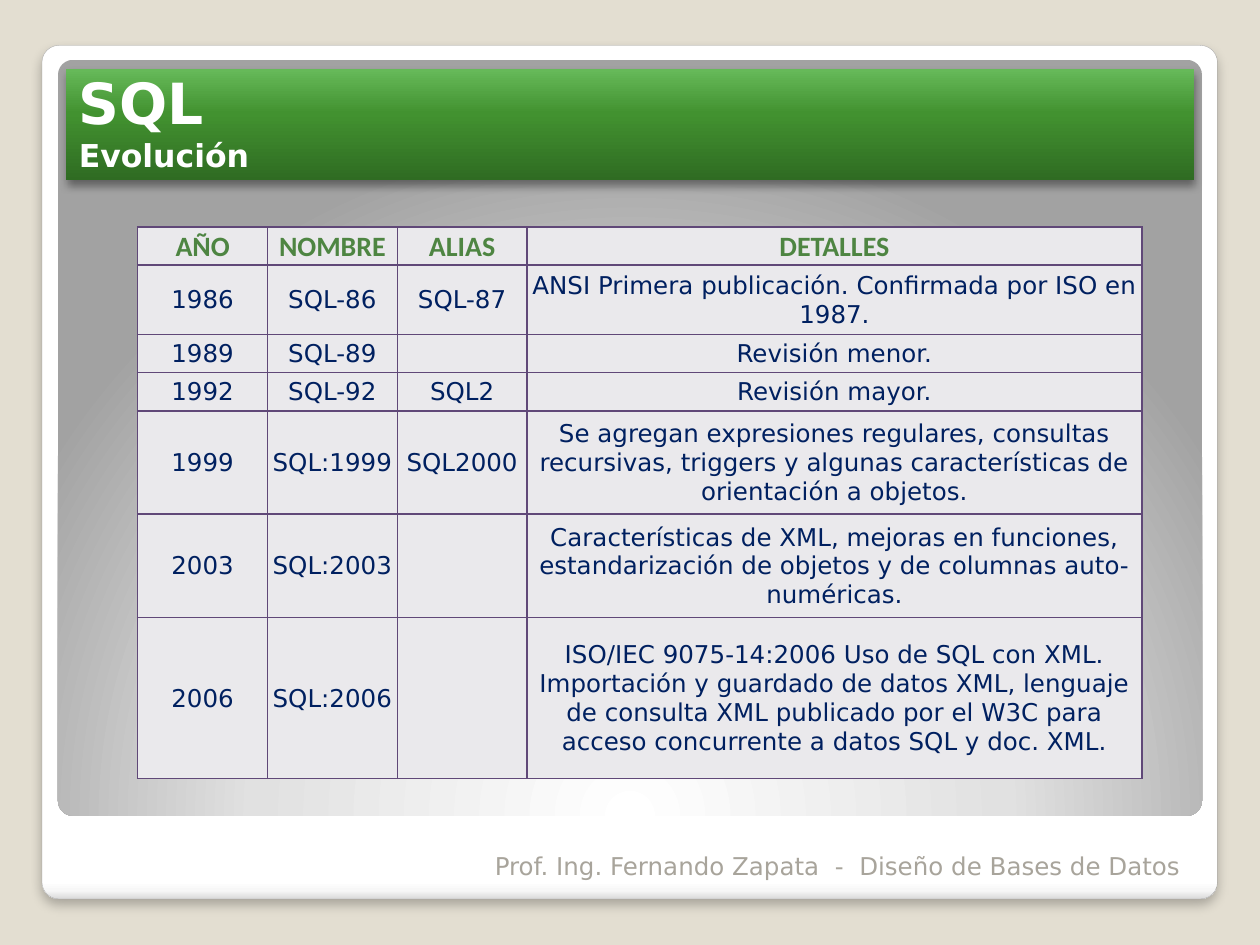
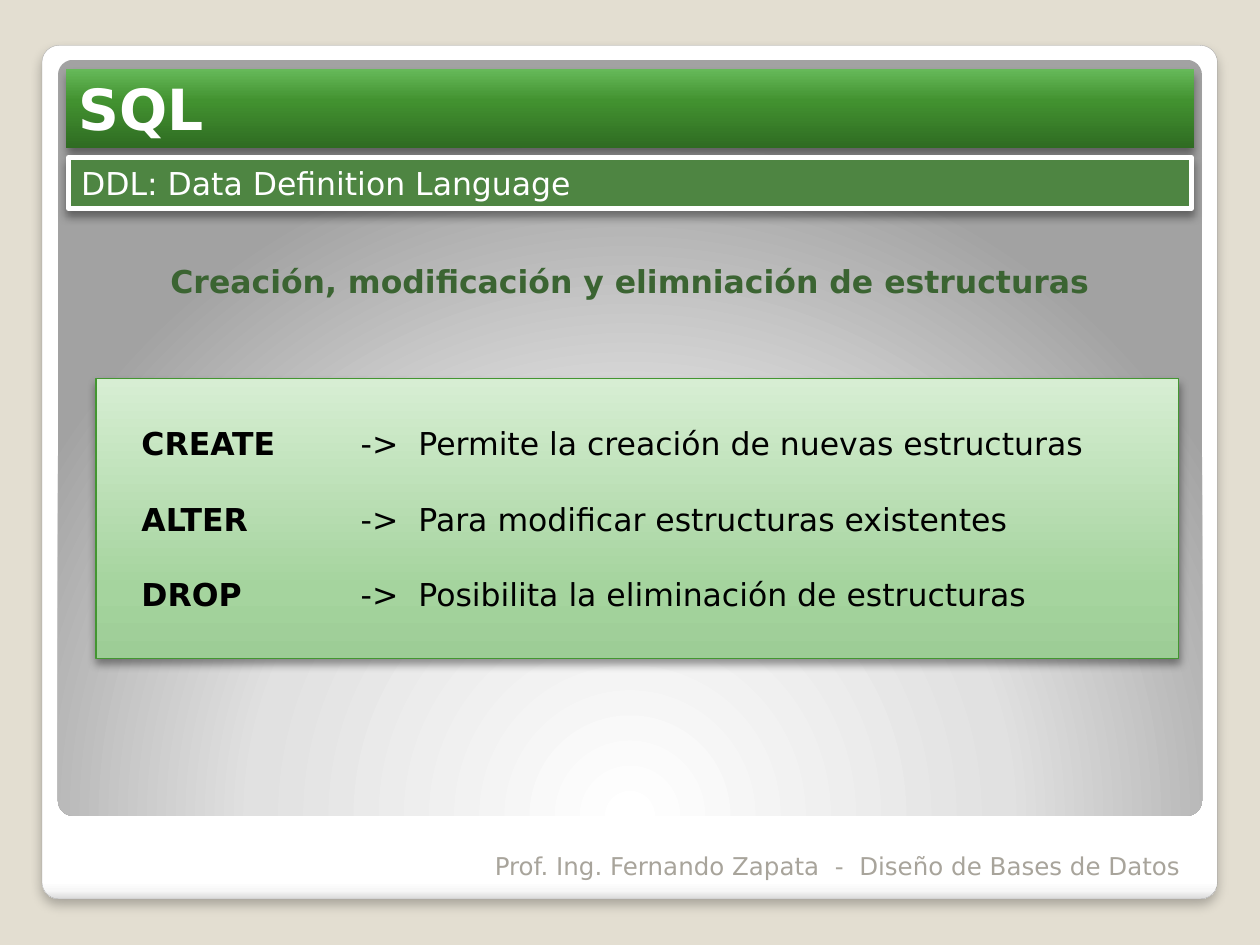
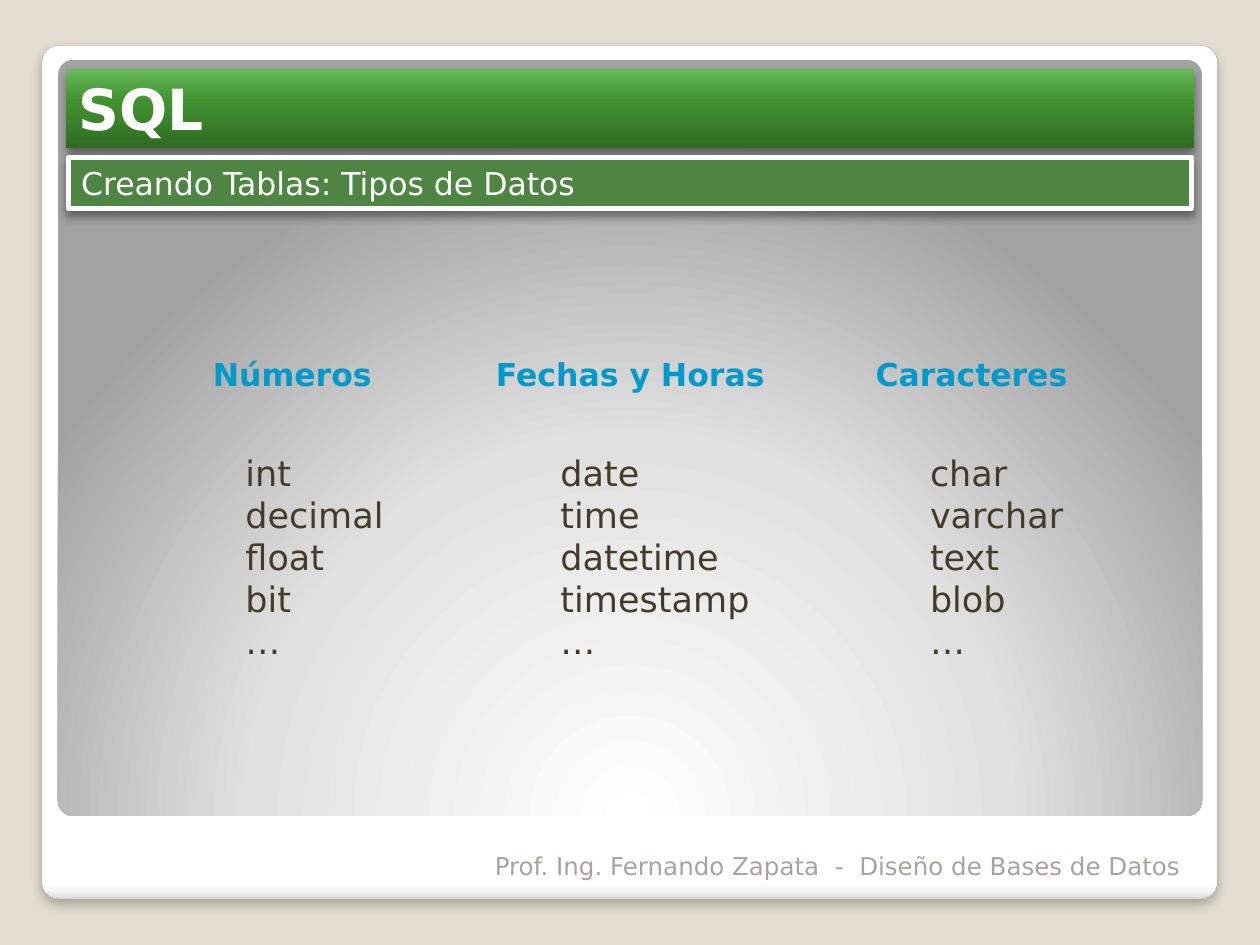
"""Build three SQL lesson slides on a grid of 100 columns by 75 rows."""
from dataclasses import dataclass

from lxml import etree
from pptx import Presentation
from pptx import util as u
from pptx.dml.color import RGBColor
from pptx.enum import shapes, text
from pptx.oxml.ns import qn

WIDTH, HEIGHT = u.Inches(10), u.Inches(7.5)
COLUMN, ROW = WIDTH // 100, HEIGHT // 75

SAND = RGBColor(0xE3, 0xDE, 0xD1)
WHITE = RGBColor(0xFF, 0xFF, 0xFF)
BLACK = RGBColor(0x00, 0x00, 0x00)
PALE_GREY = RGBColor(0xF7, 0xF7, 0xF7)
EDGE_GREY = RGBColor(0xDA, 0xDA, 0xDA)
LIGHT_GREY = RGBColor(0xE1, 0xE1, 0xE1)
MID_GREY = RGBColor(0xA2, 0xA2, 0xA2)
OUTLINE_GREY = RGBColor(0xA4, 0xA4, 0xA4)
FOOTER_GREY = RGBColor(0xA8, 0xA4, 0x9B)
GREEN = RGBColor(0x4E, 0x85, 0x42)
DARK_GREEN = RGBColor(0x3B, 0x64, 0x32)
PANEL_GREEN = RGBColor(0x43, 0x96, 0x31)
NAVY = RGBColor(0x00, 0x20, 0x60)
BLUE = RGBColor(0x00, 0x99, 0xCC)
BROWN = RGBColor(0x44, 0x3C, 0x29)
PURPLE = RGBColor(0x60, 0x48, 0x78)
CELL_FILL = RGBColor(0xEA, 0xE9, 0xEC)

LEFT, CENTER, RIGHT = text.PP_ALIGN.LEFT, text.PP_ALIGN.CENTER, text.PP_ALIGN.RIGHT
TOP, MIDDLE, BOTTOM = text.MSO_ANCHOR.TOP, text.MSO_ANCHOR.MIDDLE, text.MSO_ANCHOR.BOTTOM


@dataclass(frozen=True)
class Box:
    """Place on the grid, in columns and rows."""
    left: float
    top: float
    width: float
    height: float

    def lengths(self) -> tuple:
        return (round(self.left * COLUMN), round(self.top * ROW),
                round(self.width * COLUMN), round(self.height * ROW))


@dataclass(frozen=True)
class Style:
    """Look of a run of text."""
    size: float
    color: RGBColor
    bold: bool = False
    font: str = "DejaVu Sans"


@dataclass(frozen=True)
class Gradient:
    """Colour stops with an angle, or a circle around a focus."""
    stops: tuple
    angle: int = 270
    focus: tuple = ()


@dataclass(frozen=True)
class Shadow:
    """Outer shadow straight below a shape."""
    alpha: int
    blur: float
    distance: float


@dataclass(frozen=True)
class TypeColumn:
    """Heading and list of one family of data types."""
    heading: str
    heading_box: Box
    list_box: Box
    names: tuple


TITLE = Style(32.4, WHITE, True)
SUBTITLE = Style(18, WHITE, True)
BAND = Style(18, WHITE)
FOOTER = Style(14, FOOTER_GREY)
SUMMARY = Style(18, DARK_GREEN, True)
COMMAND = Style(18, BLACK, True)
PURPOSE = Style(18, BLACK)
TYPE_HEADING = Style(18, BLUE, True)
TYPE_NAME = Style(20, BROWN)
TABLE_HEAD = Style(16, GREEN, True, "Calibri")
TABLE_BODY = Style(14, NAVY)

CARD_FILL = Gradient(((0, WHITE), (98, WHITE), (99, PALE_GREY), (100, EDGE_GREY)), 90)
STAGE_FILL = Gradient(((0, WHITE), (55, LIGHT_GREY), (100, MID_GREY)), focus=(50, 175, 50, -75))
TITLE_FILL = Gradient(((0, RGBColor(0x2F, 0x6B, 0x22)), (60, RGBColor(0x42, 0x92, 0x30)),
                       (100, RGBColor(0x66, 0xB9, 0x59))))
PANEL_FILL = Gradient(((0, RGBColor(0x9D, 0xCD, 0x96)), (25, RGBColor(0xA5, 0xD4, 0x9E)),
                       (100, RGBColor(0xD7, 0xEE, 0xD3))))
CARD_SHADOW = Shadow(25, 6, 4)
SHADOW = Shadow(40, 5.2, 3)

FOOTER_TEXT = "Prof. Ing. Fernando Zapata  -  Diseño de Bases de Datos"
TABLE_BOX = Box(10.93, 18, 79.7, 43.8)
TABLE_COLUMNS = (10.3, 10.3, 10.3, 48.8)
TABLE_ROWS = (3.03, 5.53, 3.03, 3.03, 8.2, 8.2, 12.78)
VERSIONS = (
    ("AÑO", "NOMBRE", "ALIAS", "DETALLES"),
    ("1986", "SQL-86", "SQL-87", "ANSI Primera publicación. Confirmada por ISO en 1987."),
    ("1989", "SQL-89", "", "Revisión menor."),
    ("1992", "SQL-92", "SQL2", "Revisión mayor."),
    ("1999", "SQL:1999", "SQL2000", "Se agregan expresiones regulares, consultas recursivas, "
     "triggers y algunas características de orientación a objetos."),
    ("2003", "SQL:2003", "", "Características de XML, mejoras en funciones, "
     "estandarización de objetos y de columnas auto-numéricas."),
    ("2006", "SQL:2006", "", "ISO/IEC 9075-14:2006 Uso de SQL con XML. Importación y guardado "
     "de datos XML, lenguaje de consulta XML publicado por el W3C para acceso concurrente "
     "a datos SQL y doc. XML."),
)
COMMANDS = (
    ("CREATE", "Permite la creación de nuevas estructuras"),
    ("ALTER", "Para modificar estructuras existentes"),
    ("DROP", "Posibilita la eliminación de estructuras"),
)
TYPE_COLUMNS = (
    TypeColumn("Números", Box(15.8, 27.7, 14.8, 4), Box(18.5, 35.33, 25, 17.8),
               ("int", "decimal", "float", "bit", "…")),
    TypeColumn("Fechas y Horas", Box(38.27, 27.7, 23.5, 4), Box(43.5, 35.33, 25, 17.8),
               ("date", "time", "datetime", "timestamp", "…")),
    TypeColumn("Caracteres", Box(68.5, 27.7, 17.2, 4), Box(72.83, 35.35, 25, 17.8),
               ("char", "varchar", "text", "blob", "…")),
)


def add_node(parent, tag: str, **attributes):
    """Append a drawing element with its attributes."""
    return etree.SubElement(parent, qn(tag), {key: str(value) for key, value in attributes.items()})


def set_gradient(shape, gradient: Gradient) -> None:
    """Fill a shape with a gradient."""
    shape.fill.gradient()
    fill = shape.element.spPr.find(qn("a:gradFill"))
    for child in list(fill):
        fill.remove(child)
    stops = add_node(fill, "a:gsLst")
    for position, color in gradient.stops:
        add_node(add_node(stops, "a:gs", pos=position * 1000), "a:srgbClr", val=color)
    if gradient.focus:
        circle = add_node(fill, "a:path", path="circle")
        sides = {side: share * 1000 for side, share in zip("ltrb", gradient.focus)}
        add_node(circle, "a:fillToRect", **sides)
    else:
        add_node(fill, "a:lin", ang=gradient.angle * 60000, scaled=0)


def set_shadow(shape, shadow: Shadow | None) -> None:
    """Give a shape its own shadow, or none."""
    shape.shadow.inherit = False
    if shadow:
        effects = shape.element.spPr.find(qn("a:effectLst"))
        outer = add_node(effects, "a:outerShdw", blurRad=u.Pt(shadow.blur),
                         dist=u.Pt(shadow.distance), dir=90 * 60000, rotWithShape=0)
        add_node(add_node(outer, "a:srgbClr", val=BLACK), "a:alpha", val=shadow.alpha * 1000)


def decorate(shape, fill, line: RGBColor | None = None, weight: float = 0,
             shadow: Shadow | None = None) -> None:
    """Set fill, outline and shadow."""
    if isinstance(fill, Gradient):
        set_gradient(shape, fill)
    else:
        shape.fill.solid()
        shape.fill.fore_color.rgb = fill
    if line is None:
        shape.line.fill.background()
    else:
        shape.line.color.rgb = line
        shape.line.width = u.Pt(weight)
    set_shadow(shape, shadow)


def place(shape, box: Box) -> None:
    """Move a placeholder to a place on the grid."""
    shape.left, shape.top, shape.width, shape.height = box.lengths()


def add_run(para, words: str, style: Style) -> None:
    """Append one formatted run."""
    span = para.add_run()
    span.text = words
    span.font.name, span.font.size = style.font, u.Pt(style.size)
    span.font.bold, span.font.color.rgb = style.bold, style.color


def write(frame, lines: list, align=LEFT, anchor=TOP, wrap: bool = True) -> list:
    """Write paragraphs, each a list of (words, style) runs."""
    frame.word_wrap, frame.vertical_anchor = wrap, anchor
    frame.auto_size = text.MSO_AUTO_SIZE.NONE
    for index, runs in enumerate(lines):
        para = frame.add_paragraph() if index else frame.paragraphs[0]
        para.alignment = align
        for words, style in runs:
            add_run(para, words, style)
    return list(frame.paragraphs)


def add_label(slide, box: Box, lines: list, **layout) -> None:
    """Add a text box."""
    write(slide.shapes.add_textbox(*box.lengths()).text_frame, lines, **layout)


def add_frame(deck, slide) -> None:
    """Draw the card and the stage, then move them to the master."""
    tree = deck.slide_master.shapes.element
    parts = ((Box(3.33, 3.6, 93.3, 67.75), CARD_FILL, OUTLINE_GREY, CARD_SHADOW),
             (Box(4.6, 4.75, 90.8, 60), STAGE_FILL, None, None))
    for order, (box, fill, line, shadow) in enumerate(parts):
        panel = slide.shapes.add_shape(shapes.MSO_SHAPE.ROUNDED_RECTANGLE, *box.lengths())
        panel.adjustments[0] = 0.02
        decorate(panel, fill, line, 0.16, shadow)
        tree.insert(2 + order, panel.element)


def add_slide(deck, layout: int, subtitle: str = "", band: str = ""):
    """Add a slide with title, footer and an optional band."""
    slide = deck.slides.add_slide(deck.slide_layouts[layout])
    title = slide.shapes.title
    place(title, Box(5.25, 5.5, 89.5, 8.8 if subtitle else 6.25))
    decorate(title, TITLE_FILL, shadow=SHADOW)
    lines = [[("SQL", TITLE)]] + ([[(subtitle, SUBTITLE)]] if subtitle else [])
    write(title.text_frame, lines, anchor=BOTTOM)
    add_label(slide, Box(37.5, 66.4, 57.2, 4), [[(FOOTER_TEXT, FOOTER)]],
              align=RIGHT, anchor=BOTTOM)
    if band:
        bar = slide.shapes.add_shape(shapes.MSO_SHAPE.RECTANGLE,
                                     *Box(5.45, 12.5, 89.1, 4.05).lengths())
        decorate(bar, GREEN, WHITE, 3, SHADOW)
        write(bar.text_frame, [[(band, BAND)]], anchor=MIDDLE)
    return slide


def format_cell(cell, words: str, style: Style) -> None:
    """Write one table cell with its borders and fill."""
    cell.margin_left = cell.margin_right = cell.margin_top = u.Inches(0.01)
    cell.margin_bottom = 0
    cell.vertical_anchor = MIDDLE
    para = cell.text_frame.paragraphs[0]
    para.alignment = CENTER
    if words:
        add_run(para, words, style)
    else:
        add_node(para._p, "a:endParaRPr", sz=style.size * 100)
    properties = cell._tc.get_or_add_tcPr()
    for side in ("L", "R", "T", "B"):
        border = add_node(properties, f"a:ln{side}", w=u.Pt(1))
        add_node(add_node(border, "a:solidFill"), "a:srgbClr", val=PURPLE)
    cell.fill.solid()
    cell.fill.fore_color.rgb = CELL_FILL


def add_versions(slide) -> None:
    """Add the table of SQL versions."""
    table = slide.shapes.add_table(len(TABLE_ROWS), len(TABLE_COLUMNS), *TABLE_BOX.lengths()).table
    for column, width in zip(table.columns, TABLE_COLUMNS):
        column.width = round(width * COLUMN)
    for index, (row, height) in enumerate(zip(table.rows, TABLE_ROWS)):
        row.height = round(height * ROW)
        for cell, words in zip(row.cells, VERSIONS[index]):
            format_cell(cell, words, TABLE_BODY if index else TABLE_HEAD)


def add_commands(slide) -> None:
    """Fill the body placeholder with the DDL commands."""
    panel = slide.placeholders[1]
    place(panel, Box(7.63, 30.05, 85.9, 22.2))
    decorate(panel, PANEL_FILL, PANEL_GREEN, 0.75, SHADOW)
    panel.text_frame.margin_left = u.Inches(0.36)
    lines = [[(name, COMMAND), (f"\t->  {purpose}", PURPOSE)] for name, purpose in COMMANDS]
    for index, para in enumerate(write(panel.text_frame, lines, anchor=MIDDLE)):
        para.space_before = u.Pt(21.6 if index else 0)
        properties = para._p.get_or_add_pPr()
        for name, length in (("marL", 0), ("indent", 0), ("defTabSz", u.Inches(1.74))):
            properties.set(name, str(length))
        add_node(properties, "a:buNone")


def add_types(slide) -> None:
    """Add the columns of data types."""
    for column in TYPE_COLUMNS:
        add_label(slide, column.heading_box, [[(column.heading, TYPE_HEADING)]],
                  align=CENTER, wrap=False)
        add_label(slide, column.list_box, [[(name, TYPE_NAME)] for name in column.names])


def main() -> None:
    """Build and save the deck."""
    deck = Presentation()
    deck.slide_width, deck.slide_height = WIDTH, HEIGHT
    background = deck.slide_master.background.fill
    background.solid()
    background.fore_color.rgb = SAND

    evolution = add_slide(deck, 5, subtitle="Evolución")
    add_frame(deck, evolution)
    add_versions(evolution)

    definition = add_slide(deck, 1, band="DDL: Data Definition Language")
    add_label(definition, Box(6.25, 20.3, 87.5, 4),
              [[("Creación, modificación y elimniación de estructuras", SUMMARY)]], align=CENTER)
    add_commands(definition)

    add_types(add_slide(deck, 5, band="Creando Tablas: Tipos de Datos"))
    deck.save("out.pptx")


if __name__ == "__main__":
    main()
